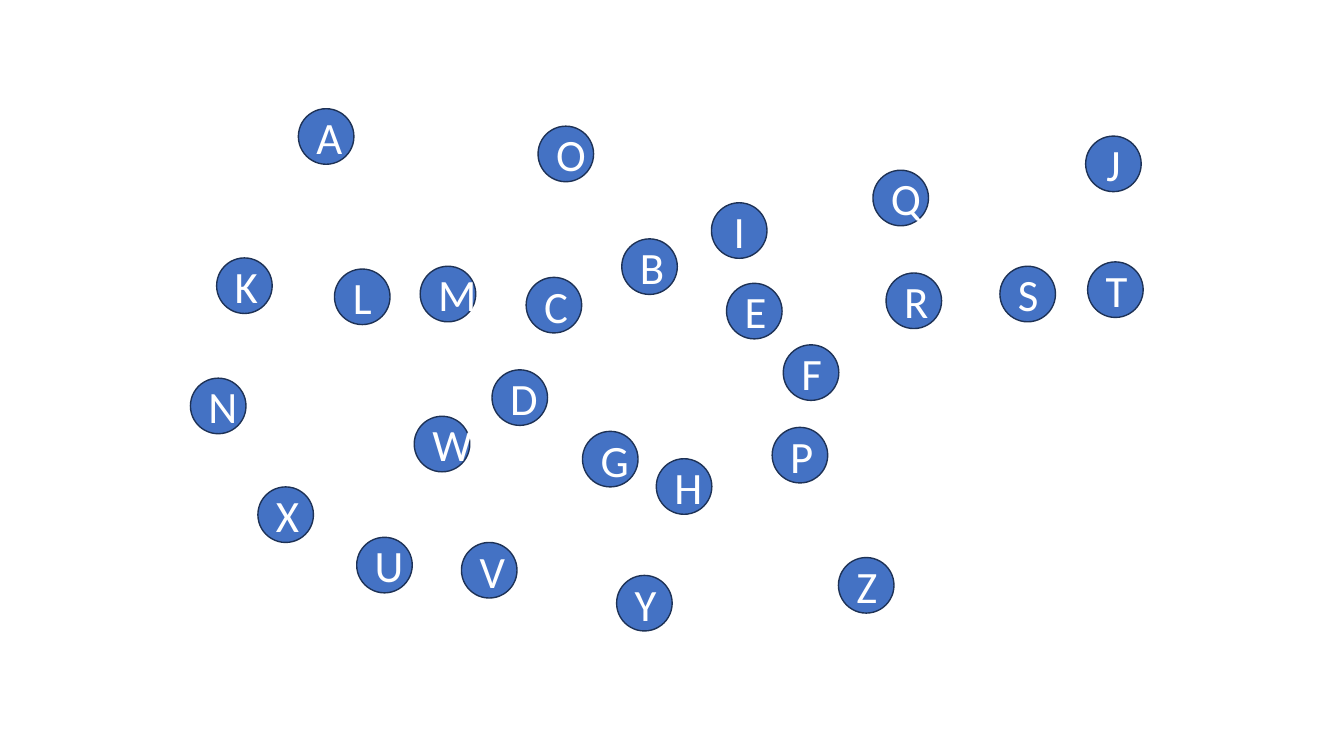
from pptx import Presentation
from pptx.dml.color import RGBColor
from pptx.enum.shapes import MSO_SHAPE as Preset
from pptx.enum.text import MSO_ANCHOR as Anchor, PP_ALIGN as Align
from pptx.util import Cm, Pt

COLOURS = {"disc": "4472C4", "outline": "1E3256", "letter": "FFFFFF"}
DIAMETER = 1.4
DISCS = {
    "A": (7.52, 2.74),
    "B": (15.67, 6.02),
    "C": (13.26, 6.99),
    "D": (12.4, 9.32),
    "E": (18.31, 7.14),
    "F": (19.74, 8.69),
    "G": (14.68, 10.87),
    "K": (5.46, 6.5),
    "L": (8.43, 6.78),
    "M": (10.59, 6.71),
    "N": (4.8, 9.53),
    "O": (13.56, 3.18),
    "P": (19.46, 10.77),
    "Q": (22, 4.29),
    "H": (16.54, 11.56),
    "R": (22.33, 6.88),
    "I": (17.93, 5.11),
    "S": (25.2, 6.71),
    "J": (27.36, 3.43),
    "T": (27.41, 6.6),
    "U": (8.99, 13.54),
    "V": (11.63, 13.67),
    "W": (10.44, 10.49),
    "X": (6.5, 12.27),
    "Y": (15.54, 14.5),
    "Z": (21.13, 14.05),
}


def colour(name):
    return RGBColor.from_string(COLOURS[name])


def write_letter(disc, letter):
    frame = disc.text_frame
    frame.word_wrap = True
    frame.vertical_anchor = Anchor.MIDDLE
    frame.text = letter
    para = frame.paragraphs[0]
    para.alignment = Align.CENTER
    span = para.runs[0]
    span.font.name = "Calibri"
    span.font.size = Pt(32)
    span.font.color.rgb = colour("letter")


def add_disc(page, letter, left, top):
    disc = page.shapes.add_shape(
        Preset.OVAL, Cm(left), Cm(top), Cm(DIAMETER), Cm(DIAMETER)
    )
    disc.shadow.inherit = False
    disc.fill.solid()
    disc.fill.fore_color.rgb = colour("disc")
    disc.line.color.rgb = colour("outline")
    disc.line.width = Pt(1)
    write_letter(disc, letter)


def main():
    deck = Presentation()
    deck.slide_width, deck.slide_height = Cm(33.87), Cm(19.05)
    page = deck.slides.add_slide(deck.slide_layouts[6])
    for letter, (left, top) in DISCS.items():
        add_disc(page, letter, left, top)
    deck.save("out.pptx")


if __name__ == "__main__":
    main()
